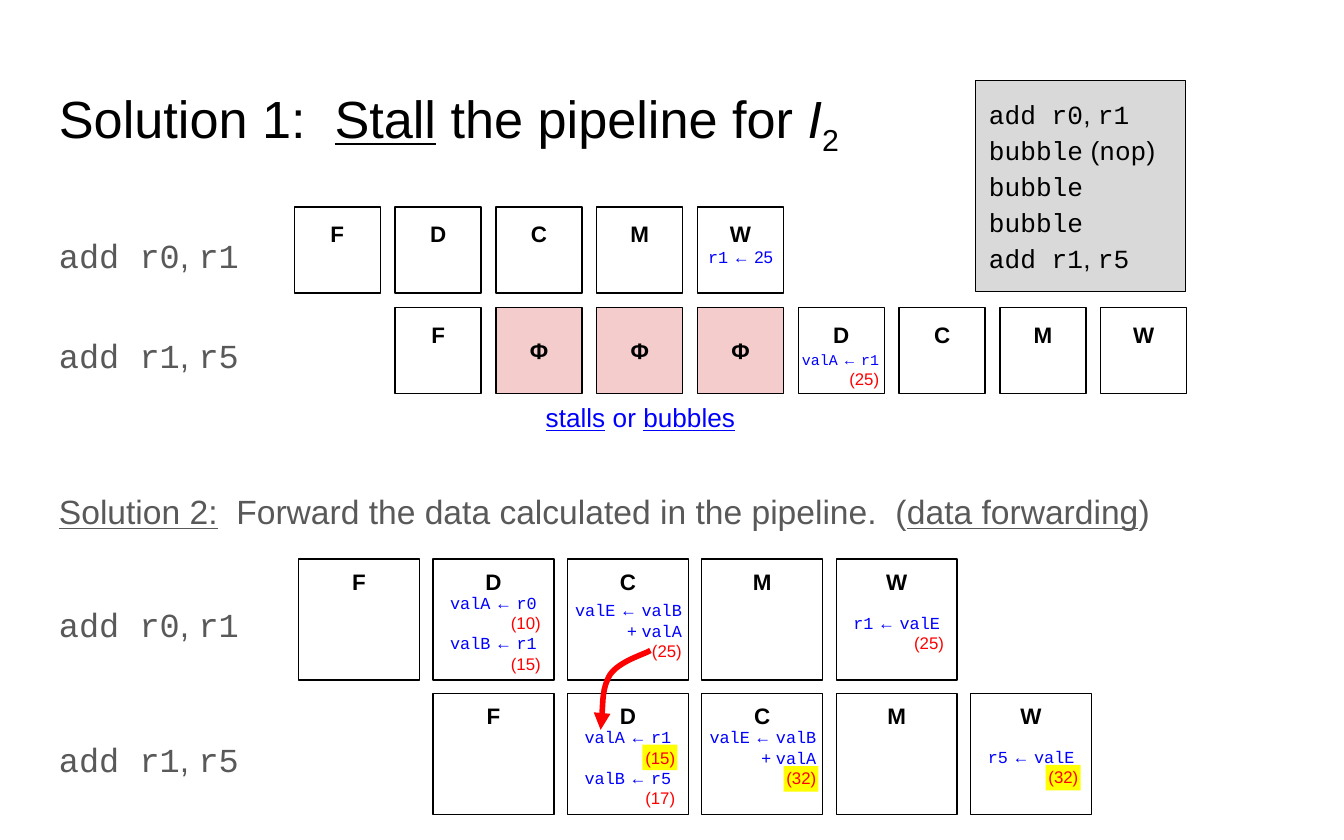
import lxml.etree
import pptx
import pptx.dml.color
import pptx.enum.shapes
import pptx.enum.text
import pptx.oxml.ns
import pptx.util

Pt = pptx.util.Pt
RGBColor = pptx.dml.color.RGBColor
qn = pptx.oxml.ns.qn
LEFT, CENTER, RIGHT = (getattr(pptx.enum.text.PP_ALIGN, n) for n in ("LEFT", "CENTER", "RIGHT"))
TOP, MIDDLE = pptx.enum.text.MSO_ANCHOR.TOP, pptx.enum.text.MSO_ANCHOR.MIDDLE

BLACK = RGBColor(0x00, 0x00, 0x00)
GRAY = RGBColor(0x59, 0x59, 0x59)
PANEL = RGBColor(0xD9, 0xD9, 0xD9)
PINK = RGBColor(0xF4, 0xCC, 0xCC)
BLUE = RGBColor(0x00, 0x00, 0xFF)
RED = RGBColor(0xFF, 0x00, 0x00)
YELLOW = RGBColor(0xFF, 0xFF, 0x00)

# Runs in a line are split by "|" and alternate between two formats
CODE = ({"name": "Courier New"}, {"name": "Arial"})
UNDERLINED = ({"name": "Arial", "underline": True}, {"name": "Arial"})
BOLD = ({"name": "Arial", "bold": True},)

prs = pptx.Presentation()
prs.slide_width, prs.slide_height = Pt(720), Pt(450)
s = prs.slides.add_slide(prs.slide_layouts[6])


def add_box(x, y, w, h, fill=None, line=None):
    sp = s.shapes.add_shape(pptx.enum.shapes.MSO_SHAPE.RECTANGLE, Pt(x), Pt(y), Pt(w), Pt(h))
    sp.shadow.inherit = False
    for part, color in ((sp.fill, fill), (sp.line.fill, line)):
        if color is None:
            part.background()
        else:
            part.solid()
            part.fore_color.rgb = color
    if line is not None:
        sp.line.width = Pt(0.75)
    return sp


def write(sp, lines, formats, size, color, anchor=TOP, spacing=1.0, top=7.2, side=7.2):
    """Fill a shape with (alignment, text) lines; values in brackets on code notes are red."""
    tf = sp.text_frame
    settings = {"word_wrap": True, "vertical_anchor": anchor, "margin_top": Pt(top),
                "margin_bottom": Pt(top), "margin_left": Pt(side), "margin_right": Pt(side)}
    for key, value in settings.items():
        setattr(tf, key, value)
    for i, (align, text) in enumerate(lines):
        p = tf.add_paragraph() if i else tf.paragraphs[0]
        p.alignment, p.line_spacing = align, spacing
        for j, part in enumerate(text.split("|")):
            if not part:
                continue
            r = p.add_run()
            r.text = part
            is_value = color == BLUE and part.startswith("(")
            fmt = {"size": Pt(9 if is_value else size), **formats[j % len(formats)]}
            for key, value in fmt.items():
                setattr(r.font, key, value)
            r.font.color.rgb = RED if is_value else color
    return tf


# Title
sp = s.shapes.add_textbox(Pt(24.5), Pt(39), Pt(671), Pt(50))
tf = write(sp, [(LEFT, "|Solution 1:  |Stall| the pipeline for ")], UNDERLINED, 28, BLACK)
for text, italic in (("I", True), ("2", False)):
    r = tf.paragraphs[0].add_run()
    r.text = text
    for key, value in {"name": "Arial", "size": Pt(28), "italic": italic}.items():
        setattr(r.font, key, value)
    r.font.color.rgb = BLACK
r._r.get_or_add_rPr().set("baseline", "-25000")

# Instruction list
sp = add_box(522.7, 43.2, 112.5, 113, PANEL, BLACK)
program = ["add r0|, |r1", "bubble| (|nop|)", "bubble", "bubble", "add r1|, |r5"]
write(sp, [(LEFT, text) for text in program], CODE, 14, BLACK, spacing=1.15)

# Pipeline rows: left, top, cell size, step, letter inset, label offset, label, stages
X1, Y1, STEP1, CELL1 = 157.7, 110.9, 54, 46.1
X2, Y2, STEP2, CELL2 = 160, 299.5, 72, 64.8
rows = [
    (X1, Y1, CELL1, STEP1, 7.2, 4.3, "add r0|, |r1", "FDCMW"),
    (X1 + STEP1, Y1 + STEP1, CELL1, STEP1, 7.2, 4.3, "add r1|, |r5", "FΦΦΦDCMW"),
    (X2, Y2, CELL2, STEP2, 4.8, 13.7, "add r0|, |r1", "FDCMW"),
    (X2 + STEP2, Y2 + STEP2, CELL2, STEP2, 4.8, 13.7, "add r1|, |r5", "FDCMW"),
]
for x, y, cell, step, inset, offset, label, stages in rows:
    sp = s.shapes.add_textbox(Pt(24.5), Pt(y + offset), Pt(126.7), Pt(30))
    write(sp, [(LEFT, label)], CODE, 18, GRAY, spacing=1.15)
    for i, stage in enumerate(stages):
        stall = stage == "Φ"
        sp = add_box(x + i * step, y, cell, cell, PINK if stall else None, BLACK)
        write(sp, [(CENTER, stage)], BOLD, 12, BLACK, MIDDLE if stall else TOP, top=inset)

# Highlights behind forwarded values
for x, y in ((344.2, 398.9), (419.8, 410.4), (560.2, 409.7)):
    add_box(x, y, 18.7, 13.7, YELLOW)

# Notes in the small cells
small_notes = [
    (365.8, Y1 + 21.5, 61.9, 9, 7.2, [(CENTER, "r1| ← 25")]),
    (419.8, Y1 + STEP1 + 22.8, 51.2, 8, 0, [(RIGHT, "valA| ← |r1"), (RIGHT, "|(25)")]),
]
for x, y, w, size, side, lines in small_notes:
    sp = s.shapes.add_textbox(Pt(x), Pt(y), Pt(w), Pt(22))
    write(sp, lines, CODE, size, BLUE, top=0, side=side)

# Notes in the large cells: column, row, offset from cell top, extra width, lines
large_notes = [
    (1, 0, 18, 0, [(CENTER, "valA| ← |r0"), (RIGHT, "|(10)"),
                   (CENTER, "valB| ← |r1"), (RIGHT, "|(15)")]),
    (2, 0, 22, 7.2, [(RIGHT, "valE| ← |valB| + |valA"), (RIGHT, "|(25)")]),
    (4, 0, 28.6, 0, [(CENTER, "r1| ← |valE"), (RIGHT, "|(25)")]),
    (2, 1, 18, 0, [(CENTER, "valA| ← |r1"), (RIGHT, "|(15)"),
                   (CENTER, "valB| ← |r5"), (RIGHT, "|(17)")]),
    (3, 1, 18, 7.2, [(RIGHT, "valE| ← |valB| + |valA"), (RIGHT, "|(32)")]),
    (5, 1, 28.6, 0, [(CENTER, "r5| ← |valE"), (RIGHT, "|(32)")]),
]
for column, row, offset, extra, lines in large_notes:
    sp = s.shapes.add_textbox(Pt(X2 + column * STEP2 - extra / 2), Pt(Y2 + row * STEP2 + offset),
                              Pt(CELL2 + extra), Pt(44))
    write(sp, lines, CODE, 9, BLUE, top=0)

# Stall caption
sp = s.shapes.add_textbox(Pt(266.4), Pt(210.2), Pt(153.4), Pt(26.6))
write(sp, [(CENTER, "stalls| or |bubbles")], UNDERLINED, 14, BLUE, MIDDLE)

# Second solution
sp = s.shapes.add_textbox(Pt(24.5), Pt(252.7), Pt(671), Pt(57))
write(sp, [(LEFT, "Solution 2:|  Forward the data calculated in the pipeline.  (|data forwarding|)")],
      UNDERLINED, 18, GRAY, spacing=1.15)

# Forwarding arrow: straight segments through control points become Bezier curves
controls = [(344.9, 350.6), (331.9, 354.2), (326.9, 361.4),
            (322.6, 368.6), (322.6, 386.6), (321.8, 391)]
builder = s.shapes.build_freeform(Pt(348.5), Pt(348.5), scale=1.0)
builder.add_line_segments([(Pt(x), Pt(y)) for x, y in controls], close=False)
sp = builder.convert_to_shape()
sp.shadow.inherit = False
sp.fill.background()
sp.line.color.rgb = RED
sp.line.width = Pt(3)
segments = list(sp._element.iter(qn("a:lnTo")))
for i in range(0, len(segments), 3):
    curve = lxml.etree.SubElement(segments[i].getparent(), qn("a:cubicBezTo"))
    for segment in segments[i:i + 3]:
        curve.append(segment[0])
        segment.getparent().remove(segment)
lxml.etree.SubElement(sp.line._get_or_add_ln(), qn("a:tailEnd"), type="triangle")

prs.save("out.pptx")
